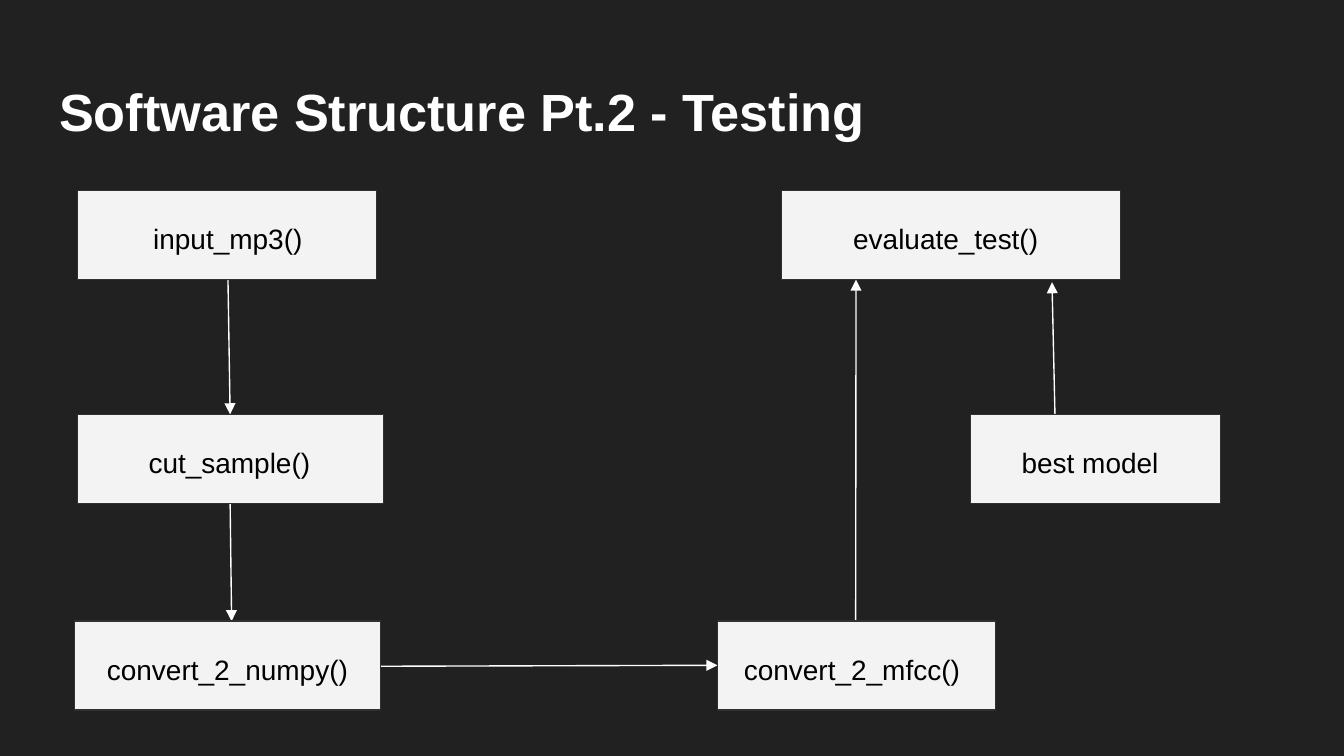
"""Build the testing flow slide: function boxes joined by arrows."""
from dataclasses import dataclass

from lxml import etree
from pptx import Presentation
from pptx.dml.color import RGBColor
from pptx.enum.shapes import MSO_CONNECTOR, MSO_SHAPE
from pptx.enum.text import MSO_ANCHOR, MSO_AUTO_SIZE, PP_ALIGN
from pptx.oxml.ns import qn
from pptx.slide import Slide
from pptx.text.text import TextFrame
from pptx.util import Pt

RECTANGLE = MSO_SHAPE.RECTANGLE
STRAIGHT = MSO_CONNECTOR.STRAIGHT
TOP = MSO_ANCHOR.TOP
NO_AUTOFIT = MSO_AUTO_SIZE.NONE
LEFT, CENTER = PP_ALIGN.LEFT, PP_ALIGN.CENTER
TITLE_ONLY = 5


@dataclass(frozen=True)
class Theme:
    background: RGBColor = RGBColor(0x21, 0x21, 0x21)
    light: RGBColor = RGBColor(0xFF, 0xFF, 0xFF)
    step_fill: RGBColor = RGBColor(0xF3, 0xF3, 0xF3)
    step_border: RGBColor = RGBColor(0x30, 0x30, 0x30)
    step_text: RGBColor = RGBColor(0, 0, 0)
    font: str = "Arial"
    title_size: float = 28
    step_size: float = 15
    line_width: float = 0.75
    inset: float = 7.2


@dataclass(frozen=True)
class Step:
    label: str
    left: float
    top: float
    width: float
    label_left: float
    label_width: float
    align: PP_ALIGN = LEFT


@dataclass(frozen=True)
class Arrow:
    start: tuple[float, float]
    end: tuple[float, float]


THEME = Theme()
STEP_HEIGHT = 47.6
LABEL_DROP = 9.4
LABEL_HEIGHT = 29.5
TOP_ROW, MIDDLE_ROW, BOTTOM_ROW = 102.2, 222, 332.8

STEPS = [
    Step("input_mp3()", 41.4, TOP_ROW, 160.4, 56.9, 130.3, CENTER),
    Step("cut_sample()", 41.4, MIDDLE_ROW, 164.2, 72.5, 128.2),
    Step("convert_2_mfcc()", 384.4, BOTTOM_ROW, 148.8, 391.4, 133.2),
    Step("evaluate_test()", 418.6, TOP_ROW, 181.6, 450, 142.7),
    Step("convert_2_numpy()", 39.8, BOTTOM_ROW, 164, 50.2, 148.3),
    Step("best model", 520, MIDDLE_ROW, 133.8, 540.2, 94.3),
]
ARROWS = [
    Arrow((122, 140.4), (123.3, MIDDLE_ROW)),
    Arrow((123.3, 269.8), (124.1, BOTTOM_ROW)),
    Arrow((152.6, 357.1), (384.4, 356.4)),
    Arrow((458.4, BOTTOM_ROW), (458.6, 149.8)),
    Arrow((565.2, 223.9), (563.6, 151.2)),
]


def write_text(frame: TextFrame, text: str, size: float, color: RGBColor,
               align: PP_ALIGN = LEFT, bold: bool = False) -> None:
    """Fill a frame with one formatted run."""
    frame.word_wrap = True
    frame.auto_size = NO_AUTOFIT
    frame.vertical_anchor = TOP
    frame.margin_left = frame.margin_right = Pt(THEME.inset)
    frame.margin_top = frame.margin_bottom = Pt(THEME.inset)
    paragraph = frame.paragraphs[0]
    paragraph.alignment = align
    run = paragraph.add_run()
    run.text = text
    run.font.name = THEME.font
    run.font.size = Pt(size)
    run.font.bold = bold
    run.font.color.rgb = color


def draw_title(slide: Slide, text: str) -> None:
    """Place and fill the title placeholder."""
    title = slide.shapes.title
    title.left, title.top = Pt(24.5), Pt(35.3)
    title.width, title.height = Pt(671), Pt(45.1)
    write_text(title.text_frame, text, THEME.title_size, THEME.light, bold=True)


def draw_arrow(slide: Slide, arrow: Arrow) -> None:
    """Draw a straight line with a triangle at its end."""
    connector = slide.shapes.add_connector(
        STRAIGHT, *map(Pt, arrow.start), *map(Pt, arrow.end))
    connector.line.color.rgb = THEME.light
    connector.line.width = Pt(THEME.line_width)
    outline = connector.line._get_or_add_ln()
    etree.SubElement(outline, qn("a:tailEnd"), type="triangle")
    etree.SubElement(outline.getparent(), qn("a:effectLst"))


def draw_step(slide: Slide, step: Step) -> None:
    """Draw a box grouped with its label."""
    group = slide.shapes.add_group_shape()
    box = group.shapes.add_shape(
        RECTANGLE, Pt(step.left), Pt(step.top), Pt(step.width), Pt(STEP_HEIGHT))
    box.shadow.inherit = False
    box.fill.solid()
    box.fill.fore_color.rgb = THEME.step_fill
    box.line.color.rgb = THEME.step_border
    box.line.width = Pt(THEME.line_width)
    label = group.shapes.add_textbox(
        Pt(step.label_left), Pt(step.top + LABEL_DROP),
        Pt(step.label_width), Pt(LABEL_HEIGHT))
    write_text(label.text_frame, step.label, THEME.step_size,
               THEME.step_text, step.align)


def main() -> None:
    """Assemble and save the slide."""
    presentation = Presentation()
    presentation.slide_width, presentation.slide_height = Pt(720), Pt(405)
    slide = presentation.slides.add_slide(presentation.slide_layouts[TITLE_ONLY])
    slide.background.fill.solid()
    slide.background.fill.fore_color.rgb = THEME.background
    draw_title(slide, "Software Structure Pt.2 - Testing")
    for arrow in ARROWS:
        draw_arrow(slide, arrow)
    for step in STEPS:
        draw_step(slide, step)
    presentation.save("out.pptx")


if __name__ == "__main__":
    main()
